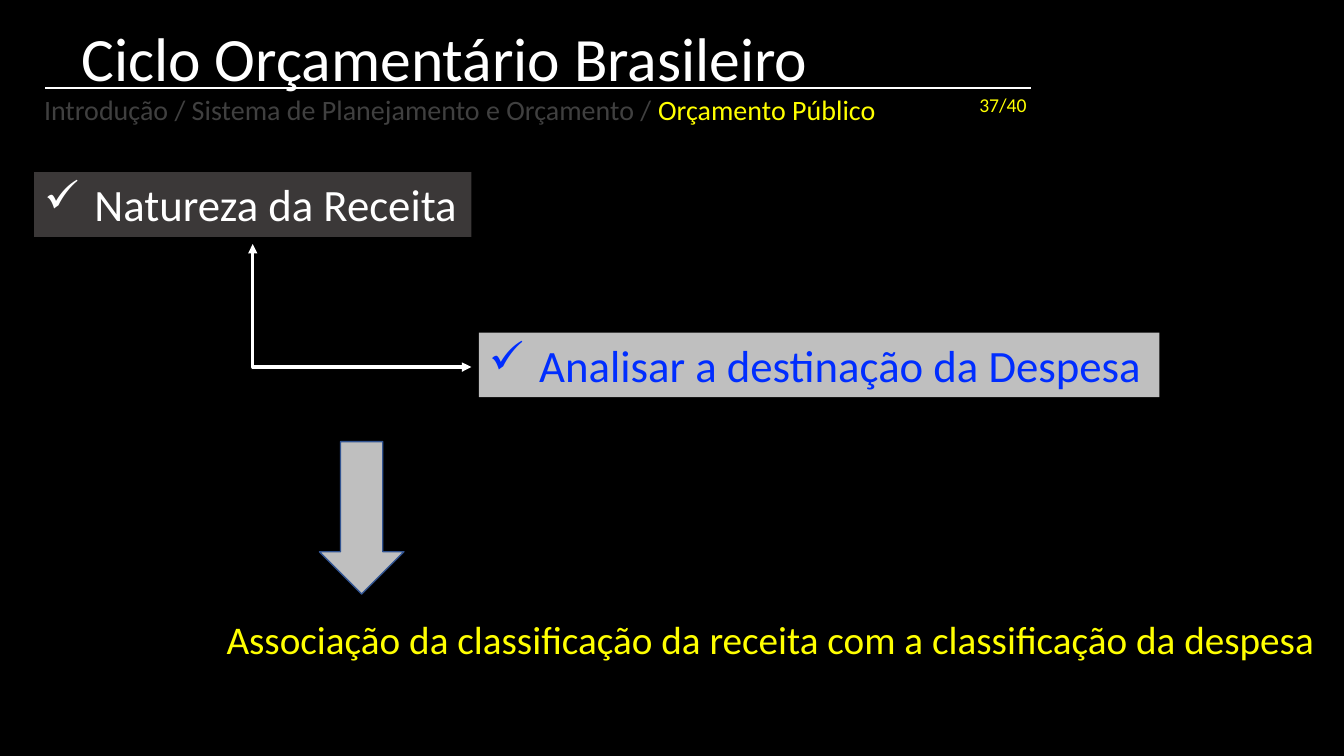
from lxml.etree import SubElement
from pptx import Presentation
from pptx.dml.color import RGBColor
from pptx.enum.shapes import MSO_CONNECTOR as Link, MSO_SHAPE as Preset
from pptx.enum.text import MSO_ANCHOR as Anchor, MSO_AUTO_SIZE as Fit, PP_ALIGN as Align
from pptx.oxml.ns import qn
from pptx.util import Cm, Pt

FONT = "Calibri"
COLORS = {
    "black": "000000", "white": "FFFFFF", "yellow": "FFFF00", "blue": "002DFF",
    "dim": "404040", "dark": "3B3838", "silver": "BFBFBF", "edge": "325491",
}
TITLE = ("Ciclo Orçamentário Brasileiro", (1.8, 0.36, 23.24, 2.13))
# spans (text, colour), size, place in cm
LABELS = [
    ([("Associação da classificação da receita com a classificação da despesa", "yellow")],
     28, (5.46, 15.39, 28.22, 1.45)),
    ([("37/40", "yellow")], 14, (24.43, 2.21, 1.73, 0.86)),
    ([("Introdução / Sistema de Planejamento e Orçamento / ", "dim"),
      ("Orçamento Público", "yellow")], 20, (0.86, 2.21, 21.67, 1.12)),
]
# text, colour, fill, place in cm
TOPICS = [
    ("Natureza da Receita", "white", "dark", (0.86, 4.34, 11.02, 1.63)),
    ("Analisar a destinação da Despesa", "blue", "silver", (12.07, 8.38, 17.15, 1.63)),
]
RULE = (1.14, 2.21, 25.98, 2.21)
ELBOW_START, ELBOW_END = (6.37, 6.15), (11.88, 9.25)
DOWN_ARROW = (8.05, 11.13, 2.13, 3.84)


def rgb(name):
    return RGBColor.from_string(COLORS[name])


def lengths(numbers):
    return [Cm(number) for number in numbers]


def write(box, spans, size, wrap=False, anchor=Anchor.TOP, bullet=None):
    frame = box.text_frame
    frame.word_wrap = wrap
    frame.auto_size = Fit.SHAPE_TO_FIT_TEXT
    frame.vertical_anchor = anchor
    para = frame.paragraphs[0]
    para.alignment = Align.LEFT
    if bullet:
        props = para._p.get_or_add_pPr()
        props.set("marL", str(Cm(1.27)))
        props.set("indent", str(-Cm(1.27)))
        SubElement(props, qn("a:buChar")).set("char", bullet)
    for text, color in spans:
        span = para.add_run()
        span.text = text
        span.font.name = FONT
        span.font.size = Pt(size)
        span.font.color.rgb = rgb(color)


def add_filled(page, preset, place, fill, edge=None):
    shape = page.shapes.add_shape(preset, *lengths(place))
    shape.shadow.inherit = False
    shape.fill.solid()
    shape.fill.fore_color.rgb = rgb(fill)
    if edge:
        shape.line.color.rgb = rgb(edge)
        shape.line.width = Pt(1)
    else:
        shape.line.fill.background()
    return shape


def add_white_line(page, kind, ends, width):
    line = page.shapes.add_connector(kind, *lengths(ends))
    line.line.color.rgb = rgb("white")
    line.line.width = Pt(width)
    SubElement(line._element.spPr, qn("a:effectLst"))
    return line


def add_elbow(page):
    """Two-headed corner: down from the start, then right to the end."""
    (x1, y1), (x2, y2) = ELBOW_START, ELBOW_END
    middle_x, middle_y = (x1 + x2) / 2, (y1 + y2) / 2
    half_width, half_height = (y2 - y1) / 2, (x2 - x1) / 2  # before the quarter turn
    ends = (middle_x + half_width, middle_y - half_height,
            middle_x - half_width, middle_y + half_height)
    elbow = add_white_line(page, Link.ELBOW, ends, 2.25)
    props = elbow._element.spPr
    props.find(qn("a:prstGeom")).set("prst", "bentConnector2")
    props.find(qn("a:xfrm")).set("rot", str(270 * 60000))
    for tag in ("a:headEnd", "a:tailEnd"):
        SubElement(props.find(qn("a:ln")), qn(tag)).set("type", "triangle")


def main():
    deck = Presentation()
    deck.slide_width, deck.slide_height = Cm(33.87), Cm(19.05)
    page = deck.slides.add_slide(deck.slide_layouts[5])
    page.background.fill.solid()
    page.background.fill.fore_color.rgb = rgb("black")

    text, place = TITLE
    title = page.shapes.title
    title.left, title.top, title.width, title.height = lengths(place)
    write(title, [(text, "white")], 44, wrap=True, anchor=Anchor.MIDDLE)

    add_white_line(page, Link.STRAIGHT, RULE, 1.5)
    for text, color, fill, place in TOPICS:
        topic = add_filled(page, Preset.RECTANGLE, place, fill)
        write(topic, [(text, color)], 32, bullet="✓")
    add_elbow(page)
    add_filled(page, Preset.DOWN_ARROW, DOWN_ARROW, "silver", edge="edge")
    for spans, size, place in LABELS:
        write(page.shapes.add_textbox(*lengths(place)), spans, size)

    deck.save("out.pptx")


if __name__ == "__main__":
    main()
